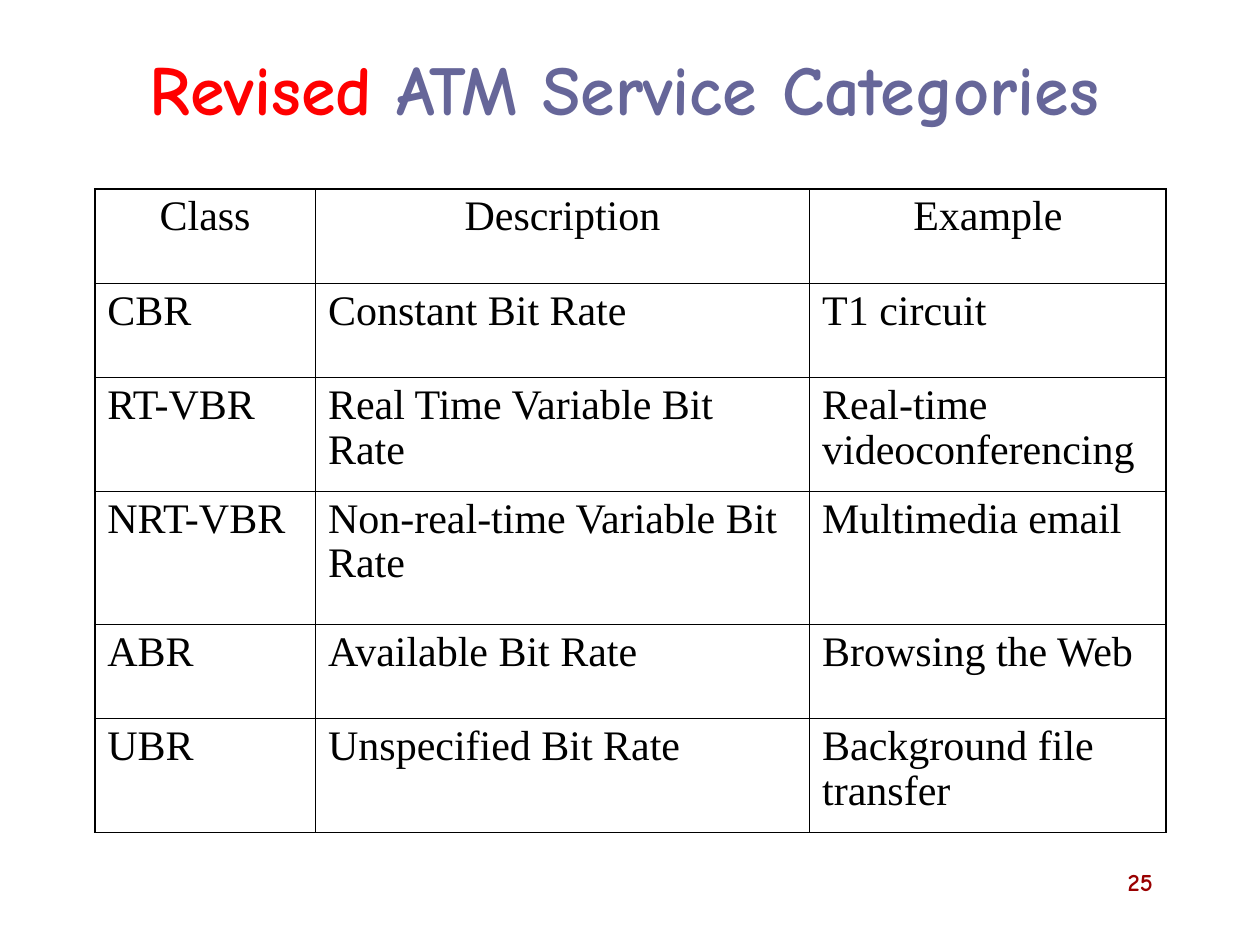
from lxml.etree import SubElement
from pptx import Presentation
from pptx.dml.color import RGBColor
from pptx.enum.text import MSO_ANCHOR, PP_ALIGN
from pptx.oxml.ns import qn
from pptx.util import Cm, Pt

TITLE = [("Revised", "FF0000"), (" ATM Service Categories", "666699")]
PAGE_NUMBER = [("25", "990000")]
CATEGORIES = [
    ("Class", "Description", "Example"),
    ("CBR", "Constant Bit Rate", "T1 circuit"),
    ("RT-VBR", "Real Time Variable Bit Rate", "Real-time videoconferencing"),
    ("NRT-VBR", "Non-real-time Variable Bit Rate", "Multimedia email"),
    ("ABR", "Available Bit Rate", "Browsing the Web"),
    ("UBR", "Unspecified Bit Rate", "Background file transfer"),
]
COLUMN_WIDTHS = [4.45, 9.96, 7.19]
ROW_HEIGHTS = [1.9, 1.9, 2.29, 2.69, 1.9, 2.29]
TABLE_LEFT, TABLE_TOP = 1.91, 3.81
OUTER_LINE, INNER_LINE = 1.08, 0.45

HEADING_FONT = {"name": "Comic Neue", "bold": True}
TABLE_FONT = {"name": "Times New Roman", "size": Pt(24)}
CELL_SPACING = {"space_before": Pt(6), "line_spacing": 0.96}


def color(hex_code):
    return RGBColor.from_string(hex_code)


def apply(target, formats):
    for name, value in formats.items():
        setattr(target, name, value)


def write(para, spans, font, align):
    para.alignment = align
    for text, hex_code in spans:
        span = para.add_run()
        span.text = text
        apply(span.font, font)
        span.font.color.rgb = color(hex_code)


def add_text(page, place, spans, size, align, anchor):
    box = page.shapes.add_textbox(*map(Cm, place))
    apply(box.text_frame, {"word_wrap": True, "vertical_anchor": anchor})
    write(box.text_frame.paragraphs[0], spans, {**HEADING_FONT, "size": Pt(size)}, align)


def draw_borders(cell, on_edge):
    """Outline a cell, heavier on the sides that lie on the table's edge."""
    cell.fill.background()
    properties = cell._tc.get_or_add_tcPr()
    for position, side in enumerate("LRTB"):
        width = OUTER_LINE if on_edge[side] else INNER_LINE
        line = SubElement(properties, qn(f"a:ln{side}"), w=str(Pt(width)))
        fill = SubElement(line, qn("a:solidFill"))
        SubElement(fill, qn("a:srgbClr"), val="000000")
        properties.insert(position, line)


def add_categories(page):
    last_row, last_column = len(ROW_HEIGHTS) - 1, len(COLUMN_WIDTHS) - 1
    table = page.shapes.add_table(
        last_row + 1, last_column + 1, Cm(TABLE_LEFT), Cm(TABLE_TOP),
        Cm(sum(COLUMN_WIDTHS)), Cm(sum(ROW_HEIGHTS))).table
    apply(table, {"first_row": False, "horz_banding": False})
    for column, width in zip(table.columns, COLUMN_WIDTHS):
        column.width = Cm(width)
    for row, height in zip(table.rows, ROW_HEIGHTS):
        row.height = Cm(height)
    for i, texts in enumerate(CATEGORIES):
        for j, text in enumerate(texts):
            cell = table.cell(i, j)
            para = cell.text_frame.paragraphs[0]
            align = PP_ALIGN.CENTER if i == 0 else PP_ALIGN.LEFT
            write(para, [(text, "000000")], TABLE_FONT, align)
            apply(para, CELL_SPACING)
            draw_borders(cell, {"L": j == 0, "R": j == last_column,
                                "T": i == 0, "B": i == last_row})


def main():
    deck = Presentation()
    deck.slide_width, deck.slide_height = Cm(25.4), Cm(19.05)
    page = deck.slides.add_slide(deck.slide_layouts[6])
    add_text(page, (1.09, 0.33, 22.99, 2.87), TITLE, 40, PP_ALIGN.CENTER, MSO_ANCHOR.MIDDLE)
    add_categories(page)
    add_text(page, (18.21, 17.35, 5.28, 1.27), PAGE_NUMBER, 14, PP_ALIGN.RIGHT, MSO_ANCHOR.TOP)
    deck.save("out.pptx")


if __name__ == "__main__":
    main()
